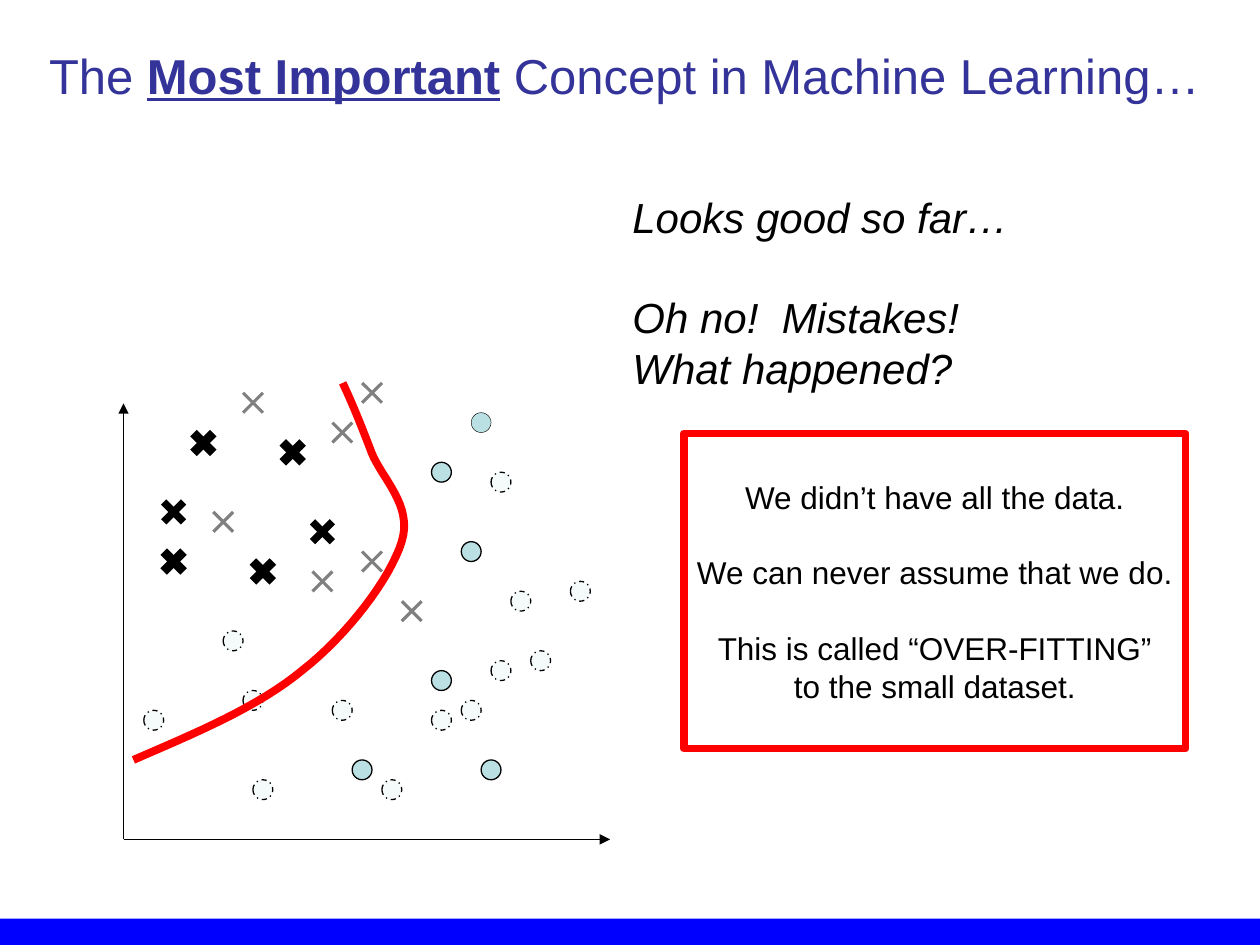
import pptx
import pptx.dml.color
import pptx.enum.dml
import pptx.enum.shapes
import pptx.enum.text
import pptx.oxml
import pptx.oxml.ns
import pptx.util
from pptx.util import Cm

SHAPE = pptx.enum.shapes.MSO_SHAPE
ALIGN = pptx.enum.text.PP_ALIGN
MARK = 0.4  # side of every data mark, in cm
RED, BLACK, GREY, PALE = "FF0000", "000000", "808080", "BBE0E3"

# Data marks: left and top in cm, with a line width where it varies
TRAIN_CROSSES = [(3.9, 8.73, 5.25), (5.7, 8.92, 5.25), (3.3, 10.12, 4.25),
                 (3.3, 11.12, 5.25), (5.1, 11.32, 5.25), (6.3, 10.52, 4.25)]
NEW_CROSSES = [(4.9, 7.92), (4.3, 10.32), (7.3, 11.12), (6.3, 11.52),
               (8.1, 12.12), (7.3, 7.72), (6.7, 8.52)]
TRAIN_CIRCLES = [(9.3, 10.92, 0.75), (8.7, 13.52, 0.75), (9.7, 15.32, 0.75),
                 (7.1, 15.32, 0.75), (8.7, 9.32, 0.75), (9.5, 8.32, 0.25)]
NEW_CIRCLES = [(10.3, 11.92), (11.5, 11.72), (9.9, 9.52), (8.7, 14.32),
               (10.7, 13.12), (7.7, 15.72), (9.3, 14.12), (9.9, 13.32),
               (5.1, 15.72), (6.7, 14.12), (2.9, 14.32), (4.9, 13.92),
               (4.5, 12.72)]

# Decision boundary: a start point, then two controls and an end per segment
BOUNDARY = [(2.69, 15.32), (3.94, 14.78), (5.21, 14.25), (6.1, 13.51),
            (7.01, 12.8), (7.87, 11.66), (8.1, 10.92), (8.33, 10.19),
            (7.7, 9.65), (7.49, 9.12), (7.29, 8.59), (7.11, 8.15), (6.91, 7.72)]


def rgb(code):
    return pptx.dml.color.RGBColor.from_string(code)


def add_xml(parent, tag, **attributes):
    element = pptx.oxml.parse_xml(f"<a:{tag} {pptx.oxml.ns.nsdecls('a')}/>")
    for name, value in attributes.items():
        element.set(name, value)
    parent.append(element)


def style_line(line, color, width):
    line.color.rgb = rgb(color)
    line.width = pptx.util.Pt(width)


def add_line(parts, start, end, color, width, arrow=False):
    line = parts.add_connector(pptx.enum.shapes.MSO_CONNECTOR.STRAIGHT,
                               *map(Cm, start + end))
    style_line(line.line, color, width)
    if arrow:
        add_xml(line.line._get_or_add_ln(), "tailEnd", type="triangle")
    add_xml(line._element.spPr, "effectLst")


def add_cross(parts, left, top, color, width):
    right, bottom = left + MARK, top + MARK
    add_line(parts, (right, top), (left, bottom), color, width)
    add_line(parts, (right, bottom), (left, top), color, width)


def add_shape(parts, kind, place, fill=None, line=None, width=0.75):
    shape = parts.add_shape(kind, *map(Cm, place))
    shape.shadow.inherit = False
    if fill:
        shape.fill.solid()
        shape.fill.fore_color.rgb = rgb(fill)
    else:
        shape.fill.background()
    if line:
        style_line(shape.line, line, width)
    else:
        shape.line.fill.background()
    return shape


def add_circle(parts, left, top, width):
    return add_shape(parts, SHAPE.OVAL, (left, top, MARK, MARK), PALE, BLACK, width)


def add_new_circle(parts, left, top):
    circle = add_circle(parts, left, top, 0)
    circle.line.dash_style = pptx.enum.dml.MSO_LINE.DASH_DOT
    add_xml(circle.fill._xPr.solidFill[0], "alpha", val="14000")


def add_curve(page, points, color, width, steps=16):
    builder = page.shapes.build_freeform(*map(Cm, points[0]))
    track = []
    for first in range(0, len(points) - 1, 3):
        segment = points[first:first + 4]
        for step in range(1, steps + 1):
            t = step / steps
            weights = ((1 - t) ** 3, 3 * t * (1 - t) ** 2, 3 * t * t * (1 - t), t ** 3)
            track.append(tuple(Cm(sum(w * value for w, value in zip(weights, axis)))
                               for axis in zip(*segment)))
    builder.add_line_segments(track, close=False)
    curve = builder.convert_to_shape()
    curve.shadow.inherit = False
    curve.fill.background()
    style_line(curve.line, color, width)


def write(box, lines, size, color=BLACK, align=ALIGN.LEFT, italic=False):
    """Each line is (line spaces above, spans); each span is (text, is_strong)."""
    frame = box.text_frame
    frame.word_wrap = False
    for number, (gap, spans) in enumerate(lines):
        para = frame.paragraphs[0] if number == 0 else frame.add_paragraph()
        para.alignment = align
        para.line_spacing = pptx.util.Pt(size * 1.2)
        para.space_before = pptx.util.Pt(size * 1.2 * gap)
        para.font.name = "Arial"
        para.font.size = pptx.util.Pt(size)
        para.font.color.rgb = rgb(color)
        para.font.italic = italic
        for text, is_strong in spans:
            span = para.add_run()
            span.text = text
            if is_strong:
                span.font.bold = span.font.underline = True


def add_text(page, place, *args, **options):
    write(page.shapes.add_textbox(*map(Cm, place)), *args, **options)


def add_plot(page):
    # Axes
    origin = (2.49, 16.92)
    for end in ((2.49, 8.13), (12.3, 16.92)):
        add_line(page.shapes, origin, end, BLACK, 0.75, arrow=True)

    # Training data
    for left, top, width in TRAIN_CROSSES:
        add_cross(page.shapes.add_group_shape().shapes, left, top, BLACK, width)
    for circle in TRAIN_CIRCLES:
        add_circle(page.shapes, *circle)

    # Data seen later
    new_circles = page.shapes.add_group_shape().shapes
    for place in NEW_CIRCLES:
        add_new_circle(new_circles, *place)
    new_crosses = page.shapes.add_group_shape().shapes
    for place in NEW_CROSSES:
        add_cross(new_crosses, *place, GREY, 1.75)

    add_curve(page, BOUNDARY, RED, 4.5)


def main():
    deck = pptx.Presentation()
    deck.slide_width, deck.slide_height = Cm(25.4), Cm(19.05)
    page = deck.slides.add_slide(deck.slide_layouts[6])

    # Footer bar and title
    add_shape(page.shapes, SHAPE.RECTANGLE, (0, 18.52, 25.4, 0.53), "0000FF")
    add_text(page, (0.74, 0.79, 23.7, 1.45),
             [(0, [("The ", False), ("Most Important", True),
                   (" Concept in Machine Learning…", False)])], 28, "333399")

    add_plot(page)

    # Remarks
    add_text(page, (12.5, 3.73, 8.08, 6.35),
             [(0, [("Looks good so far…", False)]),
              (1, [("Oh no!  Mistakes!", False)]),
              (0, [("What happened?", False)])], 24, italic=True)

    # Conclusion
    box = add_shape(page.shapes, SHAPE.RECTANGLE, (13.79, 8.74, 10.11, 6.35),
                    line=RED, width=4.5)
    box.text_frame.vertical_anchor = pptx.enum.text.MSO_ANCHOR.MIDDLE
    write(box, [(0, [("We didn’t have all the data.", False)]),
                (1, [("We can never assume that we do.", False)]),
                (1, [("This is called “OVER-FITTING”", False)]),
                (0, [("to the small dataset.", False)])], 18, align=ALIGN.CENTER)

    deck.save("out.pptx")


if __name__ == "__main__":
    main()
